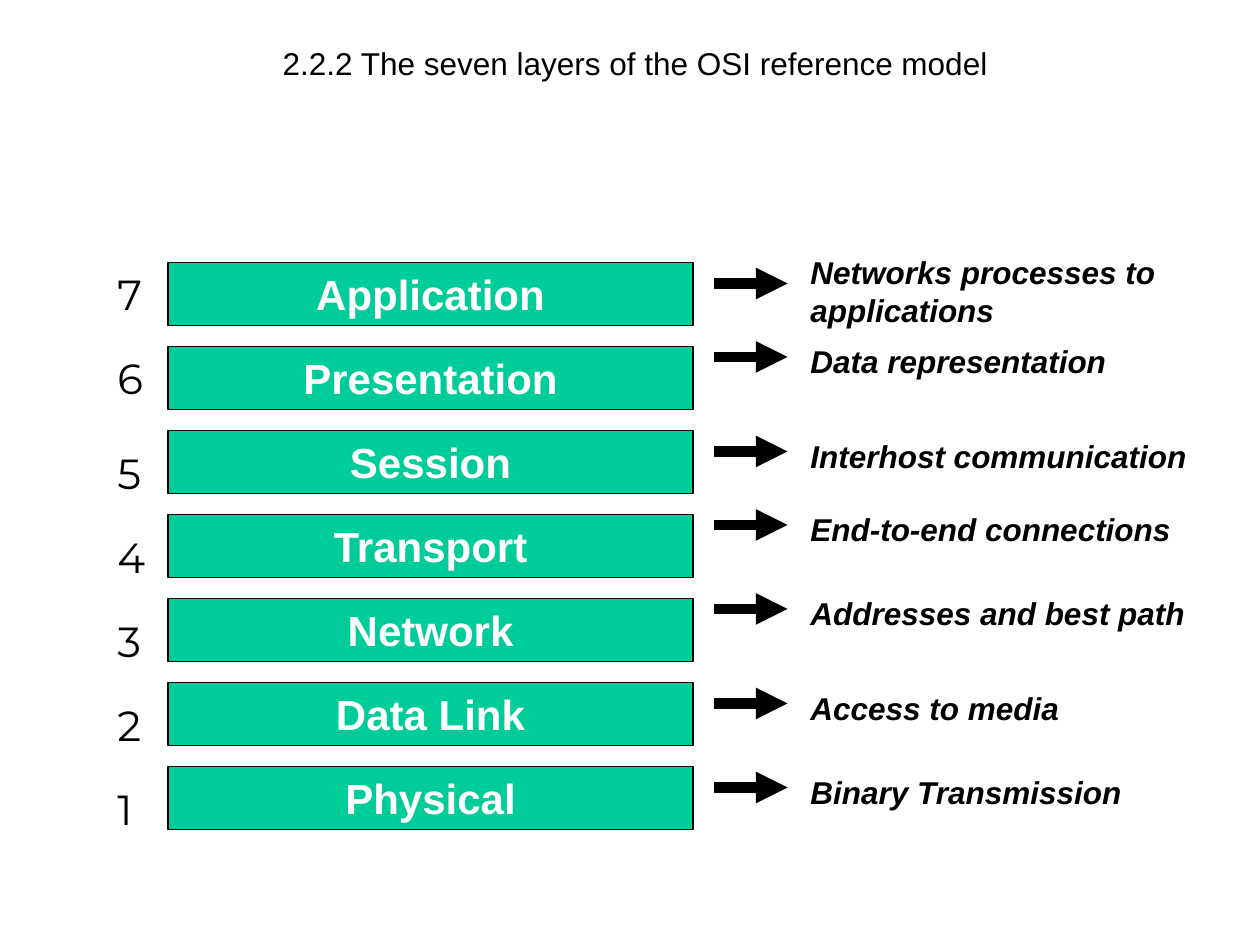
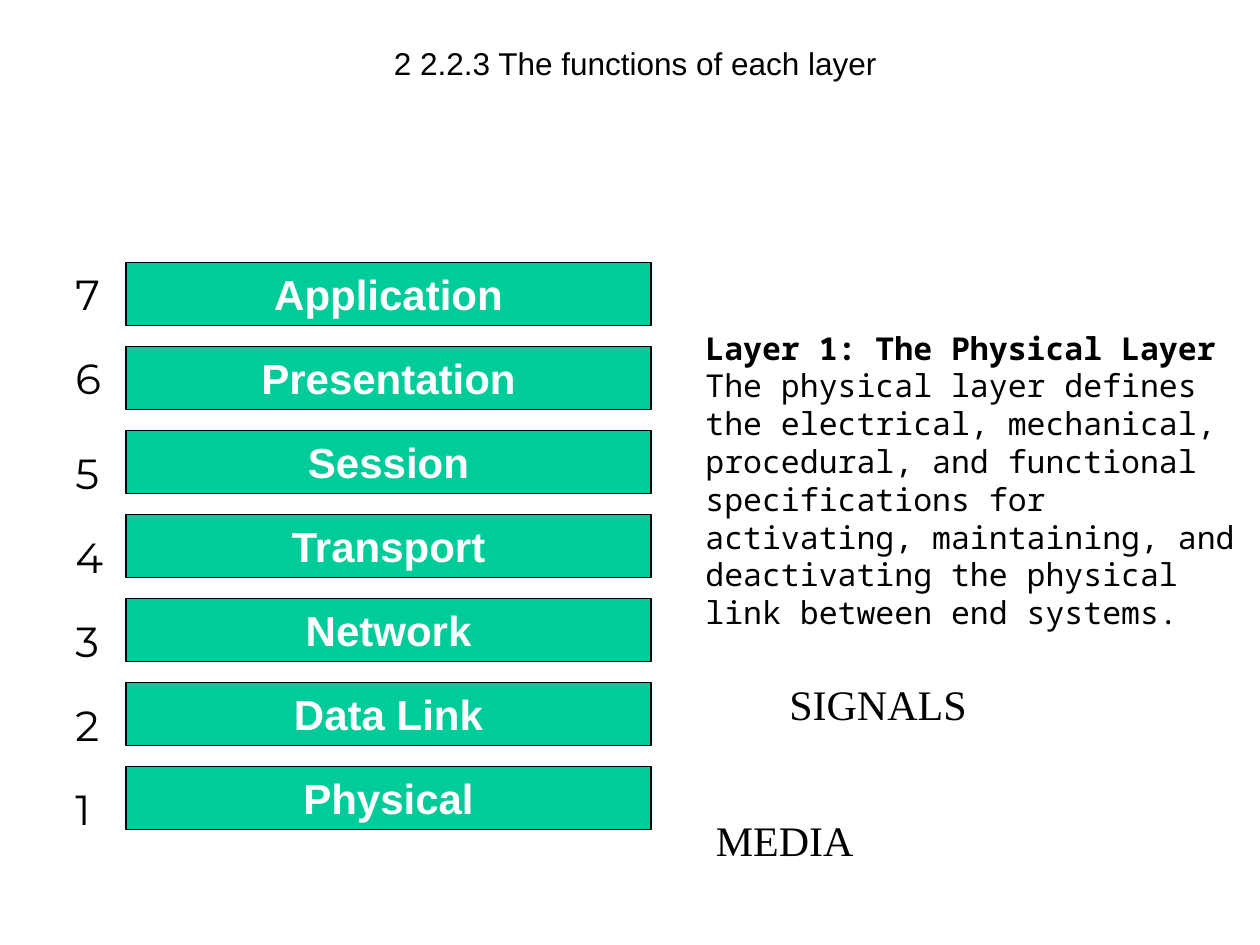
from dataclasses import dataclass

from lxml import etree
from pptx import Presentation
from pptx.dml.color import RGBColor
from pptx.enum.shapes import MSO_CONNECTOR, MSO_SHAPE
from pptx.enum.text import MSO_ANCHOR, MSO_AUTO_SIZE, PP_ALIGN
from pptx.oxml.ns import qn
from pptx.util import Inches, Pt

RECTANGLE = MSO_SHAPE.RECTANGLE
STRAIGHT = MSO_CONNECTOR.STRAIGHT
LEFT, CENTER = PP_ALIGN.LEFT, PP_ALIGN.CENTER
TOP, MIDDLE = MSO_ANCHOR.TOP, MSO_ANCHOR.MIDDLE
GROW, FIXED = MSO_AUTO_SIZE.SHAPE_TO_FIT_TEXT, MSO_AUTO_SIZE.NONE

UNITS_PER_INCH = 12
STACK_ROW, LAYER_PITCH = 25, 8
LAYER_WIDTH, LAYER_HEIGHT = 50, 6


@dataclass(frozen=True)
class Theme:
    """Colours, fonts and sizes shared by the slides."""

    ink: RGBColor = RGBColor(0, 0, 0)
    paper: RGBColor = RGBColor(255, 255, 255)
    layer: RGBColor = RGBColor(0, 204, 153)
    sans: str = "Arial"
    digits: str = "Montserrat"
    mono: str = "Noto Sans Mono"
    serif: str = "Times New Roman"
    body: int = 18
    large: int = 24
    outline: float = 0.75
    arrow: int = 6


THEME = Theme()

LAYERS = [
    ("Application", 25, 27, "Networks processes to applications"),
    ("Presentation", 33, 34, "Data representation"),
    ("Session", 42, 43, "Interhost communication"),
    ("Transport", 50, 50, "End-to-end connections"),
    ("Network", 58, 58, "Addresses and best path"),
    ("Data Link", 66, 67, "Access to media"),
    ("Physical", 74, 75, "Binary Transmission"),
]


def grid(*units):
    """Convert grid columns and rows, twelve to the inch, into lengths."""
    return [Inches(unit / UNITS_PER_INCH) for unit in units]


def write(shape, text, heading="", font=THEME.sans, size=THEME.body, color=THEME.ink,
          bold=False, italic=False, align=LEFT, anchor=TOP, wrap=True, fit=FIXED):
    """Write text into a shape, after an optional bold heading line."""
    frame = shape.text_frame
    frame.word_wrap = wrap
    frame.auto_size = fit
    frame.vertical_anchor = anchor
    paragraph = frame.paragraphs[0]
    paragraph.alignment = align
    parts = [(heading, True), (text, bold)] if heading else [(text, bold)]
    for index, (words, strong) in enumerate(parts):
        if index:
            paragraph.add_line_break()
        run = paragraph.add_run()
        run.text = words
        run.font.name = font
        run.font.size = Pt(size)
        run.font.color.rgb = color
        run.font.bold = strong
        run.font.italic = italic


def add_text(shapes, box, text, **style):
    """Add a text box on the grid and return it."""
    shape = shapes.add_textbox(*grid(*box))
    write(shape, text, **style)
    return shape


def add_layer(shapes, box, name):
    """Add one filled bar of the layer stack."""
    shape = shapes.add_shape(RECTANGLE, *grid(*box))
    shape.shadow.inherit = False
    shape.fill.solid()
    shape.fill.fore_color.rgb = THEME.layer
    shape.line.color.rgb = THEME.ink
    shape.line.width = Pt(THEME.outline)
    write(shape, name, size=THEME.large, color=THEME.paper, bold=True,
          align=CENTER, anchor=MIDDLE, wrap=False)


def add_arrow(shapes, start, end, row):
    """Add a thick horizontal arrow pointing right."""
    connector = shapes.add_connector(STRAIGHT, *grid(start, row, end, row))
    connector.line.color.rgb = THEME.ink
    connector.line.width = Pt(THEME.arrow)
    etree.SubElement(connector.line._get_or_add_ln(), qn("a:tailEnd"), type="triangle")
    etree.SubElement(connector._element.spPr, qn("a:effectLst"))


def add_stack(slide, column):
    """Add the seven numbered layers, with their numbers left of the bars."""
    bars = slide.shapes.add_group_shape().shapes
    numbers = slide.shapes.add_group_shape().shapes
    for index, (name, number_row, _, _) in enumerate(LAYERS):
        number = len(LAYERS) - index
        row = STACK_ROW + index * LAYER_PITCH
        add_layer(bars, (column, row, LAYER_WIDTH, LAYER_HEIGHT), name)
        width = 4 if number == 1 else 5
        add_text(numbers, (column - 6, number_row, width, 4.2), str(number),
                 font=THEME.digits, size=THEME.large, wrap=False)


def add_slide(presentation, title, stack_column):
    """Add a blank slide with a centred title and the layer stack."""
    slide = presentation.slides.add_slide(presentation.slide_layouts[6])
    add_text(slide.shapes, (5, 2, 111, 8), title, align=CENTER, anchor=MIDDLE)
    add_stack(slide, stack_column)
    return slide


def add_reference_model(presentation):
    """Build the slide that names the purpose of every layer."""
    slide = add_slide(presentation, "2.2.2 The seven layers of the OSI reference model", 16)
    for index, (_, _, arrow_row, purpose) in enumerate(LAYERS):
        add_arrow(slide.shapes, 68, 75, arrow_row)
        top, height = (arrow_row - 2, 4.8) if index else (23.5, 8.4)
        add_text(slide.shapes, (76, top, 44, height), purpose,
                 bold=True, italic=True, fit=GROW)


def add_physical_layer(presentation):
    """Build the slide that explains the physical layer."""
    slide = add_slide(presentation, "2 2.2.3 The functions of each layer", 12)
    explanation = add_text(
        slide.shapes, (66, 27, 54, 41),
        "The physical layer defines the electrical, mechanical, procedural, and "
        "functional specifications for activating, maintaining, and deactivating "
        "the physical link between end systems.",
        heading="Layer 1: The Physical Layer", font=THEME.mono, anchor=MIDDLE)
    explanation.text_frame.margin_bottom = Inches(0.35)
    for word, box in (("SIGNALS", (74, 64, 24, 8)), ("MEDIA", (67, 77, 45, 8))):
        add_text(slide.shapes, box, word, font=THEME.serif, size=THEME.large, wrap=False)


def main():
    """Build and save the presentation."""
    presentation = Presentation()
    presentation.slide_width, presentation.slide_height = grid(120, 90)
    add_reference_model(presentation)
    add_physical_layer(presentation)
    presentation.save("out.pptx")


if __name__ == "__main__":
    main()
